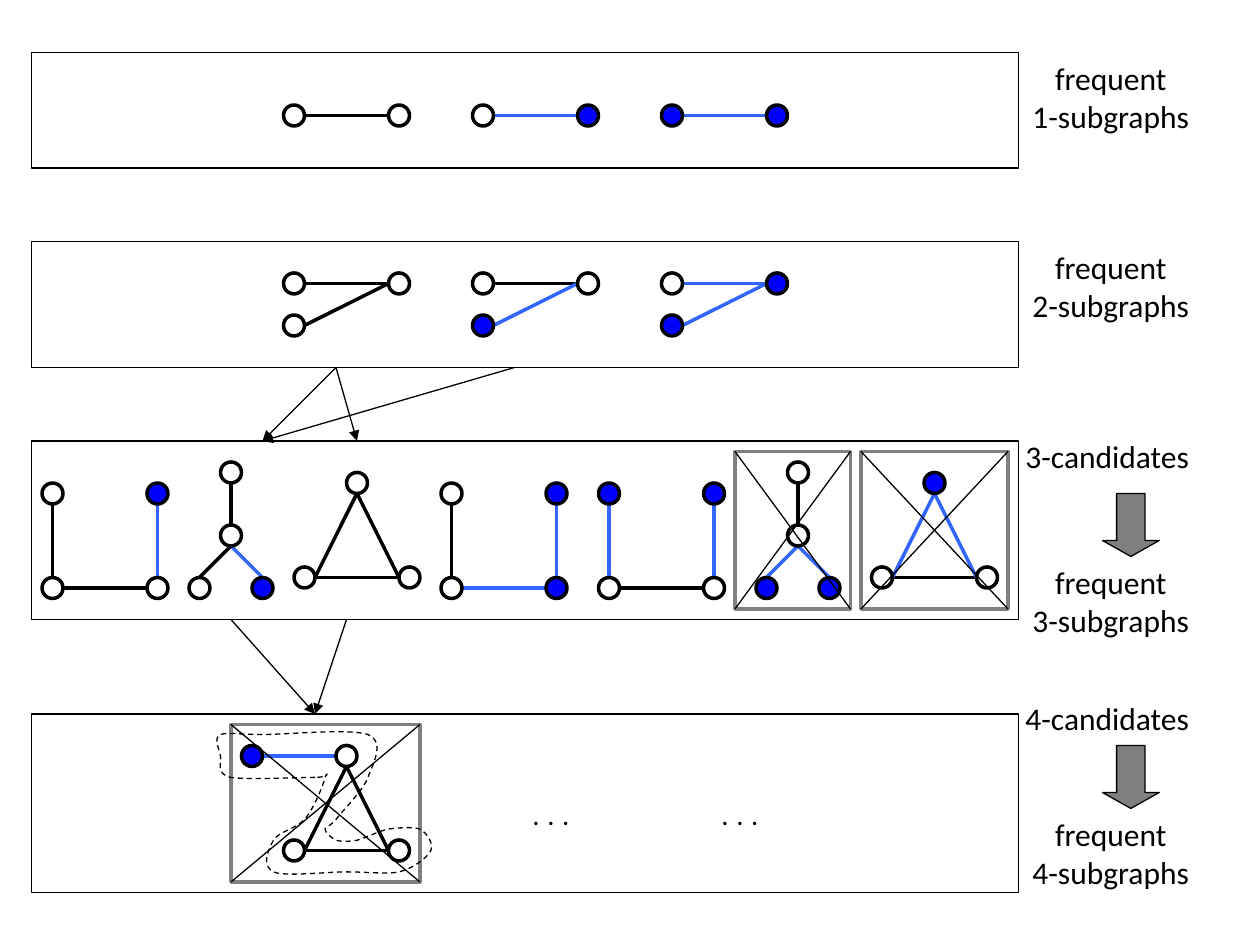
from pptx import Presentation
from pptx.dml.color import RGBColor
from pptx.enum.dml import MSO_LINE_DASH_STYLE as DASH
from pptx.enum.shapes import MSO_CONNECTOR, MSO_SHAPE
from pptx.enum.text import MSO_AUTO_SIZE, PP_ALIGN
from pptx.oxml.ns import qn
from pptx.util import Inches, Pt
from lxml.etree import SubElement

BLACK = RGBColor(0x00, 0x00, 0x00)
NODE_BLUE = RGBColor(0x00, 0x00, 0xFF)
EDGE_BLUE = RGBColor(0x33, 0x66, 0xFF)
FRAME_GRAY = RGBColor(0x80, 0x80, 0x80)
ARROW_GRAY = RGBColor(0x7F, 0x7F, 0x7F)

SIDES = {"t": (0, -1), "l": (-1, 0), "b": (0, 1), "r": (1, 0)}

# Graph patterns: node centres in grid units, then edges as (from, to, sides touched)
PAIR = ([(0, 0), (10, 0)], [(0, 1, "rl")])
WEDGE = ([(0, 0), (10, 0), (0, 4)], [(0, 1, "rl"), (2, 1, "rl")])
CUP = ([(0, 0), (0, 9), (10, 9), (10, 0)],
       [(1, 2, "rl"), (1, 0, "tb"), (2, 3, "tb")])
FORK = ([(0, 0), (0, 6), (-3, 11), (3, 11)],
        [(1, 0, "tb"), (1, 2, "bt"), (1, 3, "bt")])
TRIANGLE = ([(0, 0), (-5, 9), (5, 9)],
            [(1, 2, "rl"), (1, 0, "rb"), (0, 2, "bl")])
TAILED = (TRIANGLE[0] + [(-9, 0)], TRIANGLE[1] + [(0, 3, "lr")])

# (pattern, x, y, indices of the blue nodes)
GRAPHS = [
    (PAIR, 28, 11, ()), (PAIR, 46, 11, (1,)), (PAIR, 64, 11, (0, 1)),
    (WEDGE, 28, 27, ()), (WEDGE, 46, 27, (2,)), (WEDGE, 64, 27, (1, 2)),
    (CUP, 5, 47, (3,)), (FORK, 22, 45, (3,)), (TRIANGLE, 34, 46, ()),
    (TAILED, 33, 72, (3,)), (TRIANGLE, 89, 46, (0,)),
    (CUP, 58, 47, (0, 3)), (FORK, 76, 45, (2, 3)), (CUP, 43, 47, (2, 3)),
]
PANELS = [(42, 17), (23, 12), (5, 11), (68, 17)]
PRUNED = [(82, 43, 14, 15), (70, 43, 11, 15), (22, 69, 18, 15)]
DERIVATIONS = [((32, 35), (25, 42)), ((32, 35), (34, 42)), ((49, 35), (25, 42)),
               ((22, 59), (30, 68)), ((33, 59), (30, 68))]

# Dashed outline in inches: start, then two controls and an end per curve
OUTLINE_START = (2.5, 6.17)
OUTLINE_CURVES = [
    (2.38, 6.17, 1.96, 6.19, 1.83, 6.17), (1.71, 6.14, 1.76, 6.06, 1.75, 6),
    (1.74, 5.94, 1.69, 5.86, 1.75, 5.83), (1.81, 5.81, 1.89, 5.83, 2.08, 5.83),
    (2.28, 5.83, 2.78, 5.78, 2.92, 5.83), (3.06, 5.89, 2.96, 6.06, 2.92, 6.17),
    (2.88, 6.28, 2.72, 6.43, 2.67, 6.5), (2.61, 6.57, 2.58, 6.56, 2.58, 6.58),
    (2.58, 6.61, 2.63, 6.65, 2.67, 6.67), (2.71, 6.68, 2.76, 6.68, 2.83, 6.67),
    (2.9, 6.65, 3, 6.6, 3.08, 6.58), (3.17, 6.57, 3.28, 6.56, 3.33, 6.58),
    (3.39, 6.61, 3.44, 6.69, 3.42, 6.75), (3.39, 6.81, 3.28, 6.89, 3.17, 6.92),
    (3.06, 6.94, 2.92, 6.92, 2.75, 6.92), (2.58, 6.92, 2.26, 6.96, 2.17, 6.92),
    (2.07, 6.87, 2.13, 6.74, 2.17, 6.67), (2.21, 6.6, 2.35, 6.58, 2.42, 6.5),
    (2.49, 6.42, 2.57, 6.22, 2.58, 6.17), (2.6, 6.11, 2.63, 6.17, 2.5, 6.17),
]


def grid(n):
    """Length of n grid units, twelve to the inch."""
    return Inches(n / 12)


def style(sp, fill, color, width):
    sp.shadow.inherit = False
    if fill is None:
        sp.fill.background()
    else:
        sp.fill.solid()
        sp.fill.fore_color.rgb = fill
    sp.line.color.rgb = color
    sp.line.width = Pt(width)


def add_box(s, kind, x, y, w, h, fill=None, color=BLACK, width=0.75):
    sp = s.shapes.add_shape(kind, grid(x), grid(y), grid(w), grid(h))
    style(sp, fill, color, width)
    return sp


def add_line(s, start, end, color=BLACK, width=0.75, arrow=False):
    ends = [grid(n) for n in (*start, *end)]
    cx = s.shapes.add_connector(MSO_CONNECTOR.STRAIGHT, *ends)
    cx.line.color.rgb = color
    cx.line.width = Pt(width)
    sp_pr = cx._element.spPr
    if arrow:
        SubElement(sp_pr.find(qn("a:ln")), qn("a:tailEnd"), type="triangle")
    SubElement(sp_pr, qn("a:effectLst"))


def add_graph(s, pattern, x, y, blue):
    """Draw a graph; an edge is blue when it touches a blue node."""
    offsets, edges = pattern
    centres = [(x + dx, y + dy) for dx, dy in offsets]
    for a, b, sides in edges:
        start, end = [tuple(c + d for c, d in zip(centres[n], SIDES[side]))
                      for n, side in zip((a, b), sides)]
        color = EDGE_BLUE if a in blue or b in blue else BLACK
        add_line(s, start, end, color, 2)
    for i, (cx, cy) in enumerate(centres):
        add_box(s, MSO_SHAPE.OVAL, cx - 1, cy - 1, 2, 2,
                NODE_BLUE if i in blue else None, width=2)


def add_pruned_mark(s, x, y, w, h):
    add_box(s, MSO_SHAPE.RECTANGLE, x, y, w, h, color=FRAME_GRAY, width=2)
    add_line(s, (x, y), (x + w, y + h))
    add_line(s, (x, y + h), (x + w, y))


def add_label(s, text, x, y, w, h, font="Calibri", align=PP_ALIGN.LEFT):
    tf = s.shapes.add_textbox(Inches(x), Inches(y), Inches(w), Inches(h)).text_frame
    tf.word_wrap = False
    tf.auto_size = MSO_AUTO_SIZE.SHAPE_TO_FIT_TEXT
    tf.text = text
    for p in tf.paragraphs:
        p.alignment = align
        for r in p.runs:
            r.font.name = font
            r.font.size = Pt(18)
            r.font.color.rgb = BLACK


def add_down_arrow(s, y):
    sp = add_box(s, MSO_SHAPE.DOWN_ARROW, 105, y, 5.4, 6, ARROW_GRAY)
    sp.adjustments[0] = 0.5
    sp.adjustments[1] = 0.28


def add_dashed_outline(s):
    """Build a freeform on the control points, then join each three into a curve."""
    x, y = OUTLINE_START
    builder = s.shapes.build_freeform(Inches(x), Inches(y))
    points = [(Inches(c[i]), Inches(c[i + 1])) for c in OUTLINE_CURVES for i in (0, 2, 4)]
    builder.add_line_segments(points, close=True)
    sp = builder.convert_to_shape()
    style(sp, None, BLACK, 0.75)
    sp.line.dash_style = DASH.DASH

    segments = list(sp._element.iter(qn("a:lnTo")))
    for i in range(0, len(segments), 3):
        first, *others = segments[i:i + 3]
        outline = first.getparent()
        curve = SubElement(outline, qn("a:cubicBezTo"))
        outline.replace(first, curve)
        curve.append(first[0])
        for segment in others:
            curve.append(segment[0])
            outline.remove(segment)


def main():
    prs = Presentation()
    prs.slide_width, prs.slide_height = Inches(10), Inches(7.5)
    s = prs.slides.add_slide(prs.slide_layouts[6])

    for graph in GRAPHS:
        add_graph(s, *graph)
    for y, h in PANELS:
        add_box(s, MSO_SHAPE.RECTANGLE, 3, y, 94, h)
    for size, y in ((3, 3.42), (4, 5.5)):
        add_label(s, f"{size}-candidates", 8.04, y, 1.5, 0.4)
    for y in (47, 71):
        add_down_arrow(s, y)
    for start, end in DERIVATIONS:
        add_line(s, start, end, arrow=True)
    for frame in PRUNED:
        add_pruned_mark(s, *frame)
    for x in (4.13, 5.63):
        add_label(s, ". . .", x, 6.25, 0.53, 0.4, font="Montserrat")
    for size, y in enumerate((0.42, 1.92, 4.42, 6.42), start=1):
        add_label(s, f"frequent\n{size}-subgraphs", 8.09, y, 1.45, 0.7,
                  align=PP_ALIGN.CENTER)
    add_dashed_outline(s)

    prs.save("out.pptx")


if __name__ == "__main__":
    main()
